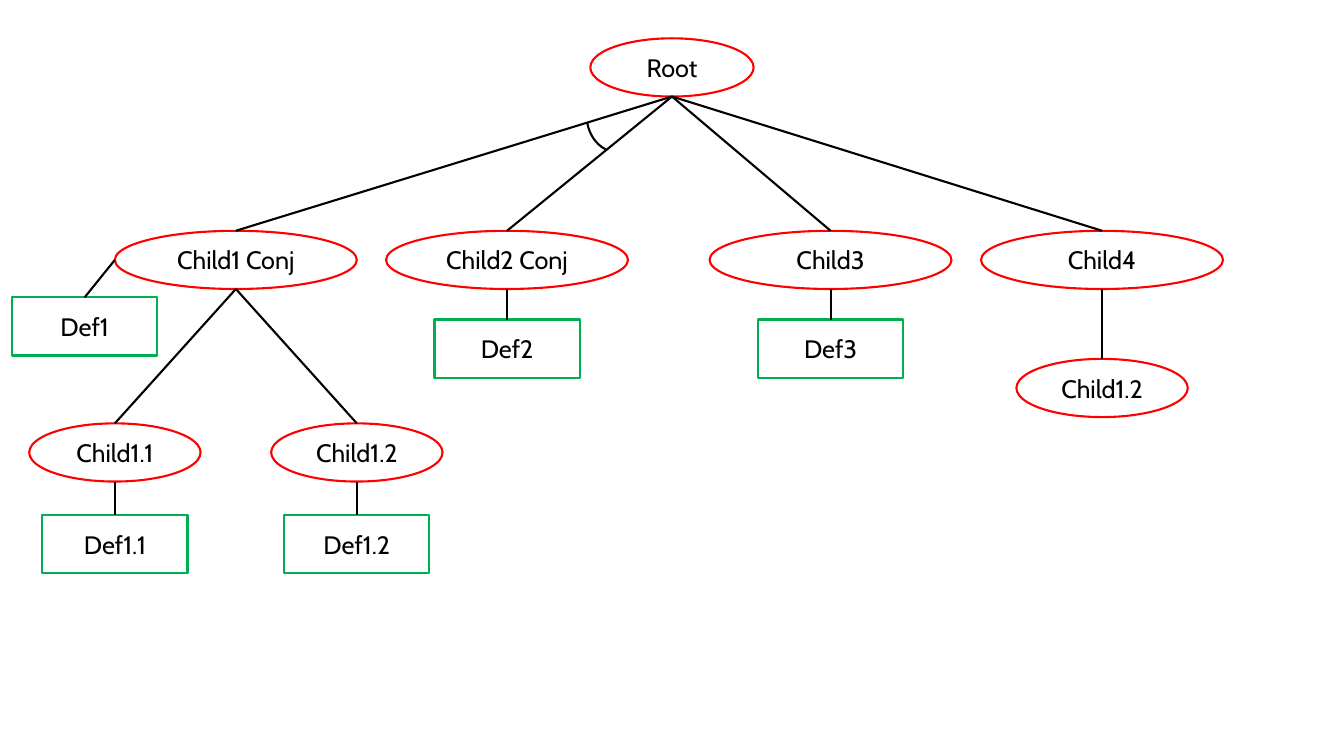
from lxml.etree import SubElement
from pptx import Presentation
from pptx.dml.color import RGBColor
from pptx.enum.shapes import MSO_CONNECTOR, MSO_SHAPE
from pptx.enum.text import MSO_ANCHOR, PP_ALIGN
from pptx.oxml.ns import qn
from pptx.util import Inches, Pt

RED = RGBColor(0xFF, 0x00, 0x00)
GREEN = RGBColor(0x00, 0xB0, 0x50)
BLACK = RGBColor(0x00, 0x00, 0x00)
WIDE, HIGH = Inches(13.33), Inches(7.5)
TALL = 7.7
ROOT, MAIN, SUB, BOX = 12.15, 18, 12.75, 10.8
ROWS = {"root": 5.07, "main": 30.53, "side": 39.33, "def": 42.27,
        "near": 47.47, "sub": 56, "leaf": 68.13}
COLS = {"side": 6.3, "left": 8.55, "one": 17.55, "right": 26.55,
        "two": 37.73, "mid": 50, "three": 61.8, "four": 82}


def across(part):
    return round(WIDE * part / 100)


def down(part):
    return round(HIGH * part / 100)


def write(shape, text, font="Cabin", size=18, color=BLACK):
    frame = shape.text_frame
    frame.word_wrap = True
    frame.vertical_anchor = MSO_ANCHOR.MIDDLE
    para = frame.paragraphs[0]
    para.alignment = PP_ALIGN.CENTER
    run = para.add_run()
    run.text = text
    run.font.name = font
    run.font.size = Pt(size)
    run.font.color.rgb = color


def outline(slide, kind, left, top, width, height, color):
    shape = slide.shapes.add_shape(
        kind, across(left), down(top), across(width), down(height))
    shape.shadow.inherit = False
    shape.fill.background()
    shape.line.color.rgb = color
    shape.line.width = Pt(1.5)
    return shape


def node(slide, text, col, row, width, kind=MSO_SHAPE.OVAL, color=RED):
    shape = outline(slide, kind, COLS[col] - width / 2, ROWS[row],
                    width, TALL, color)
    write(shape, text)
    return shape


def box(slide, text, col, row):
    return node(slide, text, col, row, BOX, MSO_SHAPE.RECTANGLE, GREEN)


def foot(shape):
    return shape.left + shape.width // 2, shape.top + shape.height


def flank(shape):
    return shape.left, shape.top + shape.height // 2


def link(slide, child, point):
    line = slide.shapes.add_connector(
        MSO_CONNECTOR.STRAIGHT, child.left, child.top, *point)
    line.begin_connect(child, 0)
    line.line.color.rgb = BLACK
    line.line.width = Pt(1.5)
    SubElement(line._element.spPr, qn("a:effectLst"))


def arc(slide):
    shape = outline(slide, MSO_SHAPE.ARC, 43.66, 10.93, 4.35, 9.2, BLACK)
    shape.rotation = 172.8
    shape.adjustments[0] = 176.37
    shape.adjustments[1] = 214.1


def main():
    deck = Presentation()
    deck.slide_width, deck.slide_height = WIDE, HIGH
    slide = deck.slides.add_slide(deck.slide_layouts[6])

    root = node(slide, "Root", "mid", "root", ROOT)
    names = {"one": "Child1 Conj", "two": "Child2 Conj",
             "three": "Child3", "four": "Child4"}
    kids = {col: node(slide, text, col, "main", MAIN)
            for col, text in names.items()}
    for kid in kids.values():
        link(slide, kid, foot(root))
    arc(slide)

    link(slide, box(slide, "Def1", "side", "side"), flank(kids["one"]))
    for col, text in (("two", "Def2"), ("three", "Def3")):
        link(slide, box(slide, text, col, "def"), foot(kids[col]))

    for col, mark in (("left", "1.1"), ("right", "1.2")):
        sub = node(slide, "Child" + mark, col, "sub", SUB)
        link(slide, sub, foot(kids["one"]))
        link(slide, box(slide, "Def" + mark, col, "leaf"), foot(sub))

    last = node(slide, "Child1.2", "four", "near", SUB)
    link(slide, last, foot(kids["four"]))
    deck.save("out.pptx")


if __name__ == "__main__":
    main()
